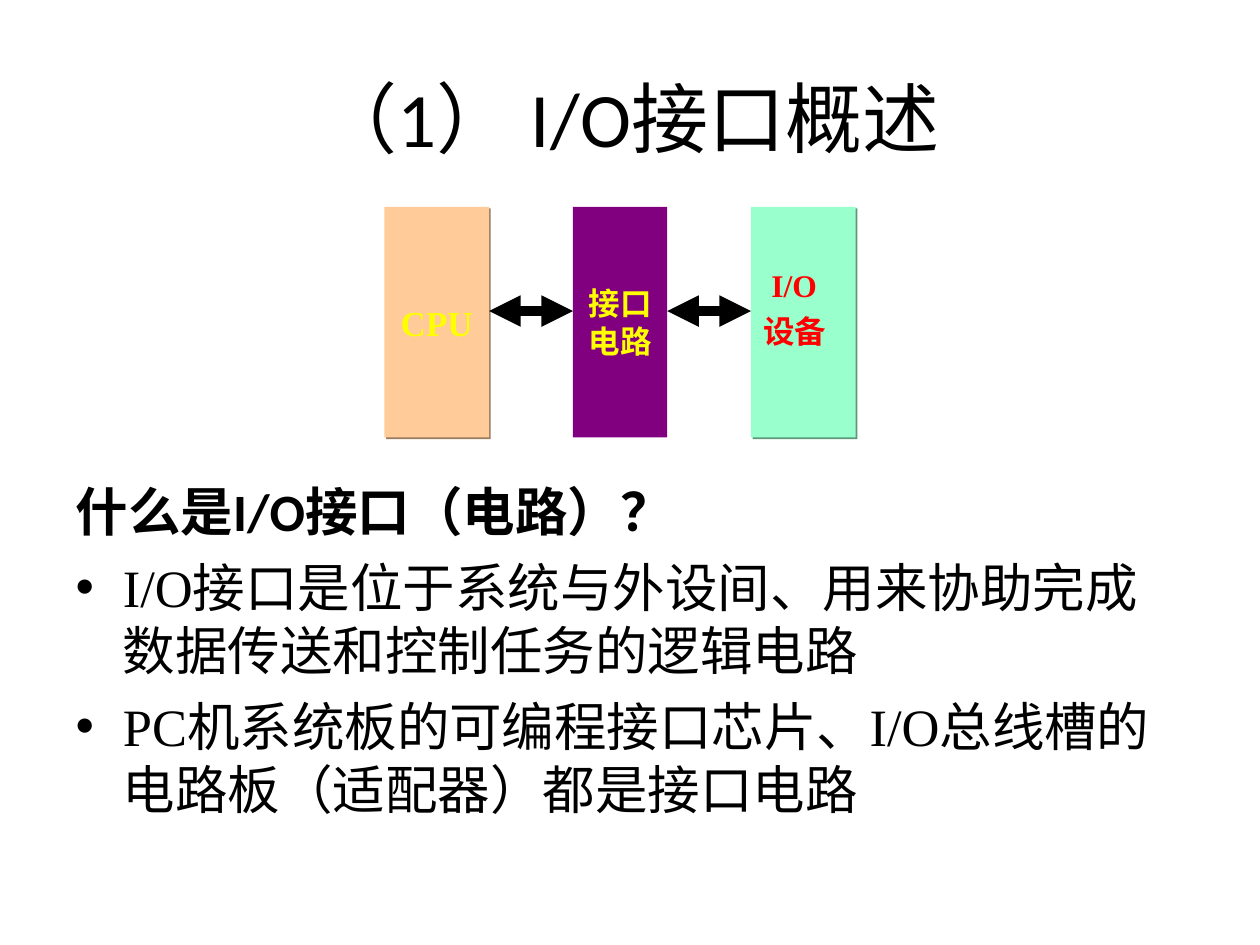
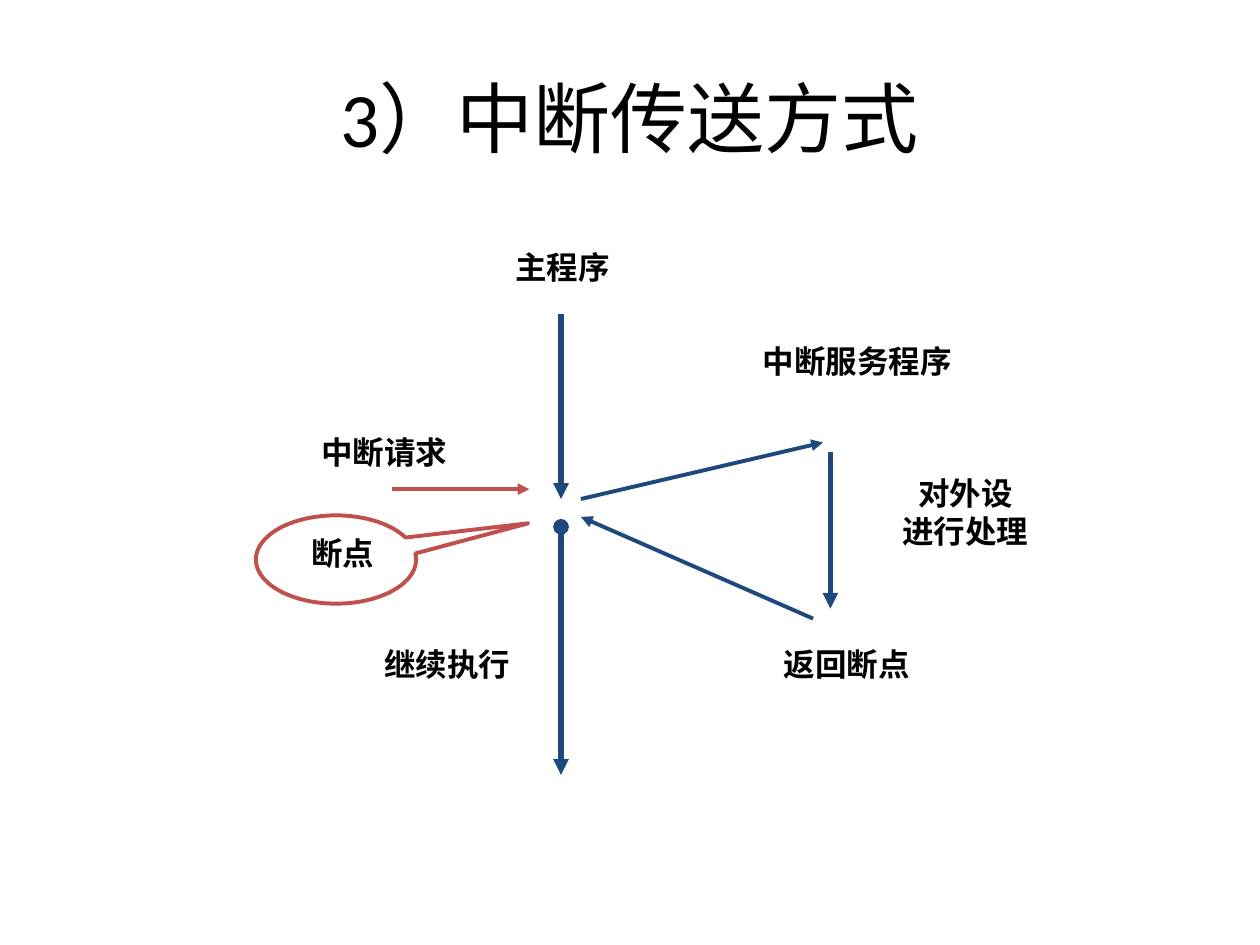
from collections import namedtuple
from dataclasses import dataclass

from lxml.etree import SubElement
from pptx import Presentation
from pptx.dml.color import RGBColor
from pptx.enum.shapes import MSO_CONNECTOR as Link, MSO_SHAPE as Preset
from pptx.enum.text import MSO_ANCHOR as Anchor, MSO_AUTO_SIZE as AutoSize, PP_ALIGN as Align
from pptx.oxml.ns import qn
from pptx.util import Cm, Pt

Box = namedtuple("Box", "left top width height")


@dataclass(frozen=True)
class Theme:
    """Colours, fonts and type sizes shared by the slides."""
    ink: str = "000000"
    navy: str = "1F497D"
    brick: str = "C0504D"
    yellow: str = "FFFF00"
    red: str = "FF0000"
    peach: str = "FFCC99"
    peach_shadow: str = "997A5C"
    purple: str = "800080"
    mint: str = "99FFCC"
    mint_shadow: str = "5C997A"
    heading_font: str = "Calibri"
    serif_font: str = "Times New Roman"
    label_font: str = "Arial"
    title_size: float = 44
    body_size: float = 30
    cpu_size: float = 20
    label_size: float = 18
    thin: float = 2.25
    flow: float = 3
    bus: float = 6


THEME = Theme()
TITLE_BOX = Box(1.27, 0.76, 22.86, 3.18)
BODY_BOX = Box(1.27, 9.53, 22.86, 7.49)
BLOCKS_BOX = Box(7.75, 4.17, 9.5, 4.65)
FLOW_BOX = Box(5.16, 4.88, 15.82, 10.74)


def inside(region, left, top, width, height):
    """Turn a box measured from a region's corner into slide lengths."""
    return [Cm(value) for value in (region.left + left, region.top + top, width, height)]


def style(para, font, size, color, bold=False):
    """Format every run of a paragraph."""
    for span in para.runs:
        span.font.name = font
        span.font.size = Pt(size)
        span.font.bold = bold
        span.font.color.rgb = RGBColor.from_string(color)


def write(frame, text, font, size, color, align=Align.CENTER):
    """Fill a frame with bold, unwrapped, vertically centred text."""
    frame.text = text
    frame.word_wrap = False
    frame.vertical_anchor = Anchor.MIDDLE
    for para in frame.paragraphs:
        para.alignment = align
        style(para, font, size, color, bold=True)


def place(shape, box):
    """Move a placeholder into a box."""
    shape.left, shape.top, shape.width, shape.height = (Cm(value) for value in box)


def add_title(page, text):
    """Fill the title placeholder."""
    title = page.shapes.title
    place(title, TITLE_BOX)
    title.text_frame.text = text
    title.text_frame.auto_size = AutoSize.NONE
    style(title.text_frame.paragraphs[0], THEME.heading_font, THEME.title_size, THEME.ink)


def add_line(page, region, start, end, color, width, head=None, tail="triangle"):
    """Draw a line with end marks between two points of a region."""
    points = [Cm(value) for x, y in (start, end) for value in (region.left + x, region.top + y)]
    line = page.shapes.add_connector(Link.STRAIGHT, *points)
    line.line.color.rgb = RGBColor.from_string(color)
    line.line.width = Pt(width)
    stroke = line.line._get_or_add_ln()
    for tag, mark in (("a:headEnd", head), ("a:tailEnd", tail)):
        if mark:
            SubElement(stroke, qn(tag), type=mark)
    SubElement(line._element.spPr, qn("a:effectLst"))


def add_block(page, box, fill, shadow=None):
    """Draw a filled block, with a hard offset shadow if a colour is given."""
    block = page.shapes.add_shape(Preset.RECTANGLE, *box)
    block.shadow.inherit = False
    block.fill.solid()
    block.fill.fore_color.rgb = RGBColor.from_string(fill)
    block.line.fill.background()
    if shadow:
        effects = block._element.spPr.find(qn("a:effectLst"))
        outer = SubElement(effects, qn("a:outerShdw"), dist=str(Pt(1.4)),
                           dir="2700000", algn="ctr", rotWithShape="0")
        SubElement(outer, qn("a:srgbClr"), val=shadow)
    return block


def add_block_diagram(page, region):
    """Draw the processor, interface and device joined by double arrows."""
    side, middle = 2.11, 1.9
    gap = (region.width - 2 * side - middle) / 2
    interface_left = side + gap
    device_left = region.width - side
    cpu = add_block(page, inside(region, 0, 0, side, region.height),
                    THEME.peach, THEME.peach_shadow)
    write(cpu.text_frame, "CPU", THEME.serif_font, THEME.cpu_size, THEME.yellow)
    add_block(page, inside(region, device_left, 0, side, region.height),
              THEME.mint, THEME.mint_shadow)
    interface = add_block(page, inside(region, interface_left, 0, middle, region.height),
                          THEME.purple)
    write(interface.text_frame, "接口\n电路", THEME.serif_font, THEME.label_size, THEME.yellow)

    device = page.shapes.add_textbox(*inside(region, device_left, 1.27, side, 1.73)).text_frame
    write(device, "I/O\n设备", THEME.serif_font, THEME.label_size, THEME.red, Align.LEFT)
    device.word_wrap = True
    device.vertical_anchor = Anchor.TOP
    first, second = device.paragraphs
    first.line_spacing = second.line_spacing = 0.7
    first._p.get_or_add_pPr().set("marL", str(Cm(0.16)))
    second.space_before = Pt(11.2)

    for left in (side, interface_left + middle):
        add_line(page, region, (left, 2.1), (left + gap, 2.1), THEME.ink, THEME.bus,
                 head="triangle")


def add_definition(page, heading, points):
    """Fill the body placeholder with a bold question and its bullets."""
    body = page.placeholders[1]
    place(body, BODY_BOX)
    frame = body.text_frame
    frame.text = "\n".join([heading, *points])
    frame.auto_size = AutoSize.NONE
    question, *answers = frame.paragraphs
    question.space_before = Pt(0)
    SubElement(question._p.get_or_add_pPr(), qn("a:buNone"))
    style(question, THEME.heading_font, THEME.body_size, THEME.ink, bold=True)
    for para in answers:
        para.space_before = Pt(7.5)
        style(para, THEME.serif_font, THEME.body_size, THEME.ink)


def add_label(page, region, text, center, middle):
    """Write a bold label centred on a point of a region."""
    lines = text.split("\n")
    width = 0.5 + 0.64 * max(map(len, lines))
    height = 0.26 + 0.76 * len(lines)
    box = inside(region, center - width / 2, middle - height / 2, width, height)
    label = page.shapes.add_textbox(*box)
    write(label.text_frame, text, THEME.label_font, THEME.label_size, THEME.ink)


def add_interrupt_flow(page, region):
    """Draw the main program, its break point and the service routine."""
    main, service, near, break_y = 6.15, 11.58, 6.55, 5.18
    arrows = [
        ((main, 1.45), (main, break_y), THEME.navy, THEME.flow, None),
        ((main, 5.74), (main, region.height), THEME.navy, THEME.flow, "oval"),
        ((service, 4.24), (service, 7.39), THEME.navy, THEME.flow, None),
        ((2.74, 4.98), (5.51, 4.98), THEME.brick, THEME.thin, None),
        ((near, break_y), (11.43, 4.04), THEME.navy, THEME.thin, None),
        ((11.23, 7.59), (near, 5.54), THEME.navy, THEME.thin, None),
    ]
    for start, end, color, width, head in arrows:
        add_line(page, region, start, end, color, width, head)

    callout = page.shapes.add_shape(Preset.OVAL_CALLOUT, *inside(region, 0, 5.51, 3.23, 1.78))
    callout.adjustments[0], callout.adjustments[1] = 1.2, -0.41
    callout.shadow.inherit = False
    callout.fill.background()
    callout.line.color.rgb = RGBColor.from_string(THEME.brick)
    callout.line.width = Pt(THEME.thin)

    labels = [
        ("断点", 1.75, 6.27),
        ("主程序", 6.18, 0.51),
        ("中断服务程序", 12.12, 2.39),
        ("中断请求", 2.59, 4.24),
        ("对外设\n进行处理", 14.3, 5.44),
        ("继续执行", 3.86, 8.51),
        ("返回断点", 11.91, 8.51),
    ]
    for text, center, middle in labels:
        add_label(page, region, text, center, middle)


def build_interface_slide(deck):
    """Build the overview of the I/O interface."""
    page = deck.slides.add_slide(deck.slide_layouts[1])
    add_title(page, "（1） I/O接口概述")
    add_definition(page, "什么是I/O接口（电路）？", [
        "I/O接口是位于系统与外设间、用来协助完成数据传送和控制任务的逻辑电路",
        "PC机系统板的可编程接口芯片、I/O总线槽的电路板（适配器）都是接口电路",
    ])
    add_block_diagram(page, BLOCKS_BOX)


def build_interrupt_slide(deck):
    """Build the slide on interrupt-driven transfer."""
    page = deck.slides.add_slide(deck.slide_layouts[5])
    add_title(page, "3）中断传送方式")
    add_interrupt_flow(page, FLOW_BOX)


def main():
    """Build and save the deck."""
    deck = Presentation()
    deck.slide_width, deck.slide_height = Cm(25.4), Cm(19.05)
    build_interface_slide(deck)
    build_interrupt_slide(deck)
    deck.save("out.pptx")


if __name__ == "__main__":
    main()
